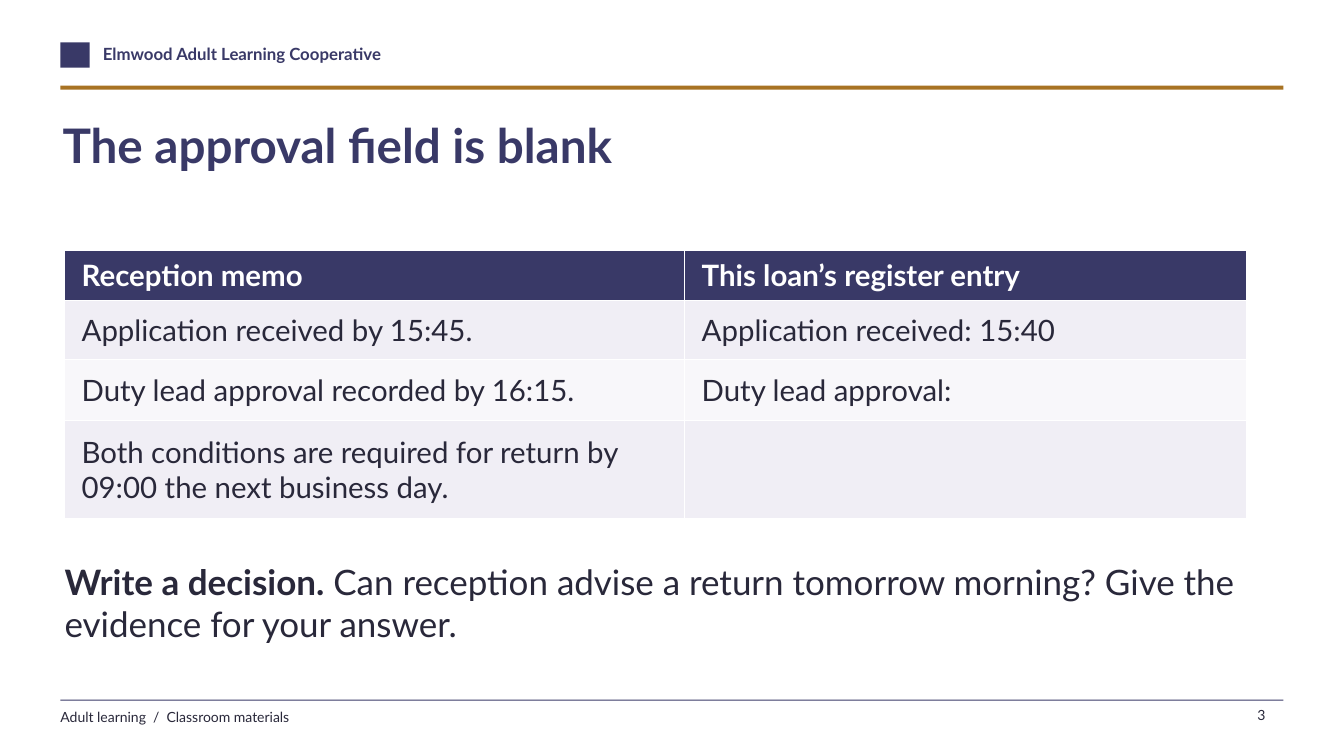
from lxml import etree
from pptx import Presentation
from pptx.dml.color import RGBColor
from pptx.enum.shapes import MSO_SHAPE
from pptx.enum.text import MSO_ANCHOR, MSO_AUTO_SIZE, PP_ALIGN
from pptx.oxml.ns import qn
from pptx.util import Inches, Pt

RECT = MSO_SHAPE.RECTANGLE
TOP, MIDDLE = MSO_ANCHOR.TOP, MSO_ANCHOR.MIDDLE
LEFT, RIGHT = PP_ALIGN.LEFT, PP_ALIGN.RIGHT
FIXED = MSO_AUTO_SIZE.NONE


class Theme:
    font = "Lato"
    navy = RGBColor.from_string("393967")
    gold = RGBColor.from_string("A87323")
    ink = RGBColor.from_string("29283A")
    white = RGBColor.from_string("FFFFFF")
    band = RGBColor.from_string("F0EEF5")
    pale = RGBColor.from_string("F8F7FA")
    title, prompt, cell, brand, small = Pt(34), Pt(25), Pt(21), Pt(12), Pt(10)


def style(run, size, color, bold=False):
    font = run.font
    font.name, font.size, font.bold = Theme.font, size, bold
    font.color.rgb = color


def frame(shape, box, align=LEFT):
    shape.left, shape.top, shape.width, shape.height = map(Inches, box)
    body = shape.text_frame
    body.word_wrap, body.auto_size = True, FIXED
    body.vertical_anchor = TOP
    body.margin_left = body.margin_right = 0
    body.margin_top = body.margin_bottom = 0
    body.paragraphs[0].alignment = align
    return body.paragraphs[0]


deck = Presentation()
deck.slide_width, deck.slide_height = Inches(13.33), Inches(7.5)
slide = deck.slides.add_slide(deck.slide_layouts[5])
shapes = slide.shapes

# Header mark and rules
bars = [
    (0.6, 0.42, 0.29, 0.25, Theme.navy),
    (0.6, 0.85, 12.13, 0.04, Theme.gold),
    (0.6, 6.94, 12.13, 0.01, Theme.navy),
]
for *box, color in bars:
    bar = shapes.add_shape(RECT, *map(Inches, box))
    bar.shadow.inherit = False
    bar.fill.solid()
    bar.fill.fore_color.rgb = color
    bar.line.fill.background()

# Title
line = frame(shapes.title, (0.62, 1.15, 12, 1.05))
line.text = "The approval field is blank"
style(line.runs[0], Theme.title, Theme.navy, True)

# Header and footer text
labels = [
    ("Elmwood Adult Learning Cooperative", (1.02, 0.43, 6, 0.28),
     Theme.brand, Theme.navy, True, LEFT),
    ("Adult learning  /  Classroom materials", (0.6, 7.03, 7, 0.23),
     Theme.small, Theme.ink, False, LEFT),
    ("3", (12, 7.01, 0.55, 0.31), Theme.small, Theme.ink, False, RIGHT),
]
for text, box, size, color, bold, align in labels:
    line = frame(shapes.add_textbox(0, 0, 0, 0), box, align)
    line.text = text
    style(line.runs[0], size, color, bold)

# Memo and register table
rows = [
    ("Reception memo", "This loan’s register entry"),
    ("Application received by 15:45.", "Application received: 15:40"),
    ("Duty lead approval recorded by 16:15.", "Duty lead approval:"),
    ("Both conditions are required for return by 09:00 the next business day.", ""),
]
fills = [Theme.navy, Theme.band, Theme.pale, Theme.band]
table = shapes.add_table(4, 2, *map(Inches, (0.64, 2.48, 11.72, 2.67))).table
for col, wide in zip(table.columns, (6.15, 5.57)):
    col.width = Inches(wide)
for row, high in zip(table.rows, (0.5, 0.59, 0.6, 0.98)):
    row.height = Inches(high)
for r, texts in enumerate(rows):
    for c, text in enumerate(texts):
        cell = table.cell(r, c)
        cell.margin_left = cell.margin_right = Inches(0.17)
        cell.margin_top = cell.margin_bottom = Inches(0.06)
        cell.vertical_anchor = MIDDLE
        props = cell._tc.get_or_add_tcPr()
        for side in ("lnL", "lnR", "lnT", "lnB"):
            edge = etree.SubElement(props, qn("a:" + side), w=str(Pt(1)))
            paint = etree.SubElement(edge, qn("a:solidFill"))
            etree.SubElement(paint, qn("a:srgbClr"), val=str(Theme.white))
        cell.fill.solid()
        cell.fill.fore_color.rgb = fills[r]
        cell.text_frame.text = text
        for run in cell.text_frame.paragraphs[0].runs:
            style(run, Theme.cell, Theme.ink if r else Theme.white, r == 0)

# Decision prompt
line = frame(shapes.add_textbox(0, 0, 0, 0), (0.64, 5.56, 11.72, 1.1))
parts = [
    ("Write a decision.", True),
    (" Can reception advise a return tomorrow morning? "
     "Give the evidence for your answer.", False),
]
for text, bold in parts:
    run = line.add_run()
    run.text = text
    style(run, Theme.prompt, Theme.ink, bold)

deck.save("out.pptx")
